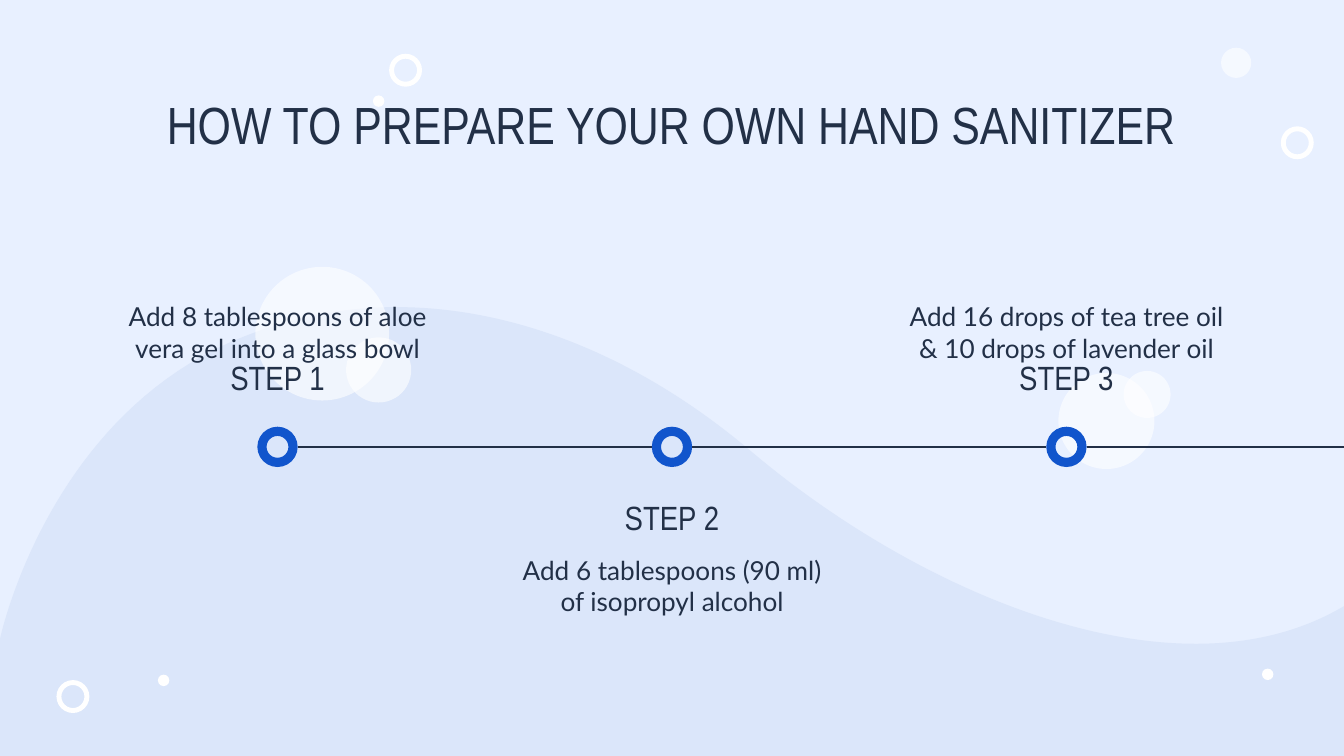
from lxml.etree import SubElement
from pptx import Presentation
from pptx.dml.color import RGBColor
from pptx.enum.shapes import MSO_CONNECTOR, MSO_SHAPE
from pptx.enum.text import MSO_ANCHOR, PP_ALIGN
from pptx.oxml.ns import qn
from pptx.util import Inches, Pt

COLORS = {
    "background": "E8F0FF",
    "wave": "DBE6FA",
    "bubble": "FFFFFF",
    "marker": "1155CC",
    "ink": "223047",
}


def paint(shape, color):
    shape.shadow.inherit = False
    shape.fill.solid()
    shape.fill.fore_color.rgb = RGBColor.from_string(COLORS[color])
    shape.line.fill.background()


def add_text(text, left, top, width, height, font, size, anchor=MSO_ANCHOR.TOP, after=0):
    box = page.shapes.add_textbox(Inches(left), Inches(top), Inches(width), Inches(height))
    frame = box.text_frame
    frame.word_wrap = True
    frame.vertical_anchor = anchor
    frame.margin_left = frame.margin_right = Inches(0.2)
    frame.margin_top = frame.margin_bottom = Inches(0.2)
    frame.text = text
    para = frame.paragraphs[0]
    para.alignment = PP_ALIGN.CENTER
    para.space_after = Pt(after)
    span = para.runs[0]
    span.font.name = font
    span.font.size = Pt(size)
    span.font.color.rgb = RGBColor.from_string(COLORS["ink"])


deck = Presentation()
deck.slide_width = Inches(20)
deck.slide_height = Inches(11.25)
page = deck.slides.add_slide(deck.slide_layouts[6])
page.background.fill.solid()
page.background.fill.fore_color.rgb = RGBColor.from_string(COLORS["background"])

# Wave: cubic curves from the left edge to the right, then the bottom corners
start = (0, 9.51)
curves = [
    [(0, 9.51), (0.67, 6.32), (3.41, 5.1)],
    [(4.21, 4.75), (5.05, 4.57), (5.9, 4.57)],
    [(7.69, 4.57), (9.54, 5.33), (11.17, 6.71)],
    [(13.05, 8.3), (15.6, 9.58), (17.79, 9.58)],
    [(18.59, 9.58), (19.34, 9.41), (20, 9.02)],
]
points = [start]
for curve in curves:
    corners = [points[-1]] + curve
    for step in range(1, 41):
        t = step / 40
        weights = [(1 - t) ** 3, 3 * t * (1 - t) ** 2, 3 * t**2 * (1 - t), t**3]
        points.append(tuple(sum(w * c[axis] for w, c in zip(weights, corners)) for axis in (0, 1)))
points += [(20, 11.25), (0, 11.25)]
outline = [(Inches(x), Inches(y)) for x, y in points]
builder = page.shapes.build_freeform(*outline[0])
builder.add_line_segments(outline[1:], close=True)
paint(builder.convert_to_shape(), "wave")

# Translucent bubbles
for left, top, size in [
    (18.17, 0.71, 0.45),
    (3.8, 3.97, 1.99),
    (5.15, 5.02, 0.97),
    (15.75, 5.55, 1.43),
    (16.72, 5.52, 0.7),
]:
    bubble = page.shapes.add_shape(
        MSO_SHAPE.OVAL, Inches(left), Inches(top), Inches(size), Inches(size))
    paint(bubble, "bubble")
    color = bubble._element.spPr.find(qn("a:solidFill")).find(qn("a:srgbClr"))
    SubElement(color, qn("a:alpha")).set("val", "60000")

# Small white dots
for left, top in [(2.35, 10.04), (18.78, 9.95), (5.55, 1.42)]:
    dot = page.shapes.add_shape(
        MSO_SHAPE.OVAL, Inches(left), Inches(top), Inches(0.17), Inches(0.17))
    paint(dot, "bubble")

# White rings
for left, top in [(0.84, 10.12), (5.79, 0.8), (19.06, 1.88)]:
    ring = page.shapes.add_shape(
        MSO_SHAPE.DONUT, Inches(left), Inches(top), Inches(0.49), Inches(0.49))
    ring.adjustments[0] = 0.15
    paint(ring, "bubble")

# Timeline: a marker per step, with a line on to the next marker or the edge
centers = [4.13, 10, 15.87]
radius = 0.3
axis_y = 6.65
line_ends = [center - radius for center in centers[1:]] + [20]
for center, line_end in zip(centers, line_ends):
    marker = page.shapes.add_shape(
        MSO_SHAPE.DONUT, Inches(center - radius), Inches(axis_y - radius),
        Inches(2 * radius), Inches(2 * radius))
    marker.adjustments[0] = 0.229
    paint(marker, "marker")
    line = page.shapes.add_connector(
        MSO_CONNECTOR.STRAIGHT, Inches(center + radius), Inches(axis_y),
        Inches(line_end), Inches(axis_y))
    line.line.color.rgb = RGBColor.from_string(COLORS["ink"])
    line.line.width = Pt(1.5)
    SubElement(line._element.spPr, qn("a:effectLst"))

# Step descriptions and headings, alternating above and below the line
steps = [
    ("STEP 1", "Add 8 tablespoons of aloe vera gel into a glass bowl"),
    ("STEP 2", "Add 6 tablespoons (90 ml) of isopropyl alcohol"),
    ("STEP 3", "Add 16 drops of tea tree oil & 10 drops of lavender oil"),
]
text_width = 5.11
for index, (center, (heading, detail)) in enumerate(zip(centers, steps)):
    left = center - text_width / 2
    if index % 2 == 0:
        add_text(detail, left, 3.79, text_width, 1.82, "Lato", 28, MSO_ANCHOR.BOTTOM, 32)
        add_text(heading, left, 5.11, text_width, 0.88, "Arial Narrow", 36)
    else:
        add_text(detail, left, 8.05, text_width, 1.25, "Lato", 28, after=32)
        add_text(heading, left, 7.25, text_width, 0.88, "Arial Narrow", 36, MSO_ANCHOR.MIDDLE)

# Title
add_text("HOW TO PREPARE YOUR OWN HAND SANITIZER", 1.57, 1.18, 16.85, 1.04, "Arial Narrow", 56)

deck.save("out.pptx")
